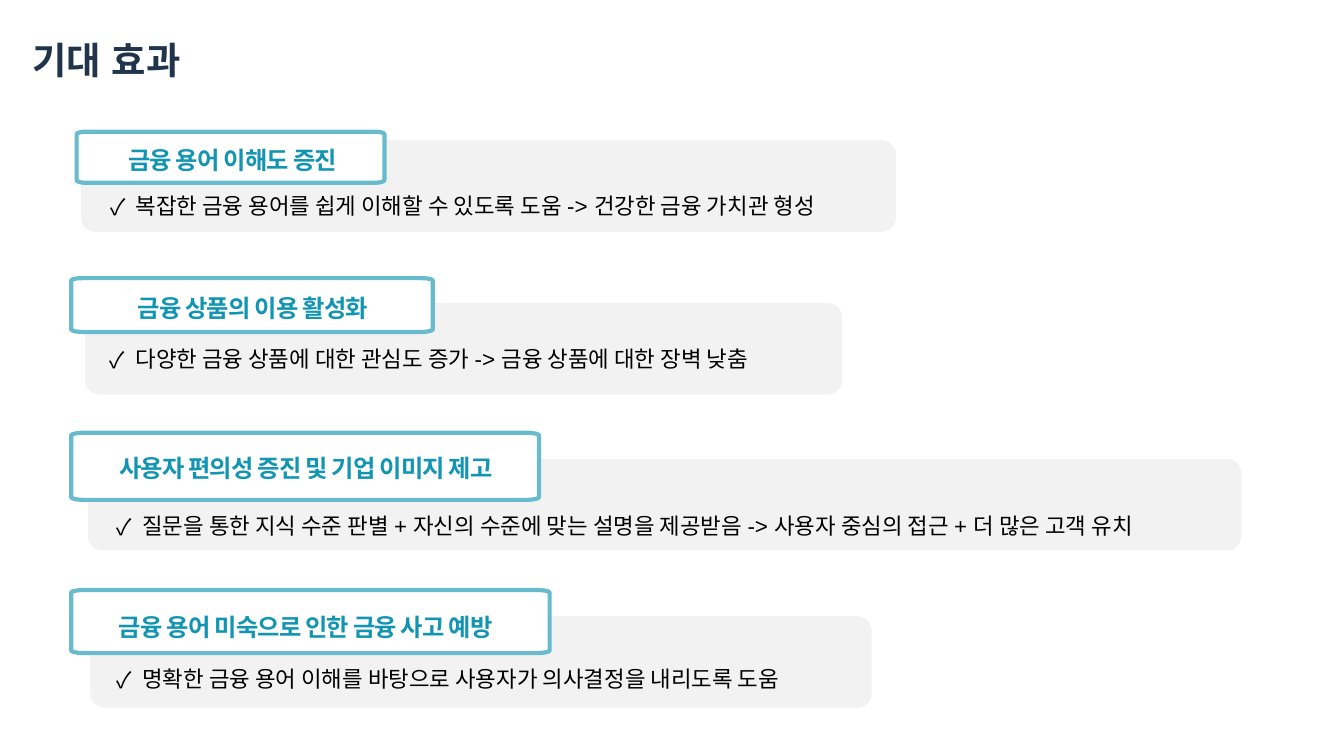
from math import cos, pi, sin

from lxml import etree
from pptx import Presentation
from pptx.dml.color import RGBColor
from pptx.enum.shapes import MSO_SHAPE
from pptx.enum.text import MSO_ANCHOR, MSO_AUTO_SIZE, PP_ALIGN
from pptx.oxml.ns import qn
from pptx.util import Inches, Pt

ROUND = MSO_SHAPE.ROUNDED_RECTANGLE
TOP = MSO_ANCHOR.TOP
GROW = MSO_AUTO_SIZE.SHAPE_TO_FIT_TEXT
LEFT, CENTER = PP_ALIGN.LEFT, PP_ALIGN.CENTER
HANGUL = "Noto Sans CJK SC"
STEPS = 6

PANELS = [
    (0.59, 1.03, 6.09),
    (0.62, 2.24, 5.66),
    (0.64, 3.4, 8.61),
    (0.66, 4.57, 5.84),
]
FRAMES = [
    (0.57, 0.98, 2.29, 0.38),
    (0.53, 2.07, 2.69, 0.4),
    (0.53, 3.22, 3.48, 0.5),
    (0.53, 4.39, 3.56, 0.47),
]
LABELS = [
    ("금융 용어 이해도 증진", 0.83, 1.03, 1.8),
    ("금융 상품의 이용 활성화", 0.87, 2.13, 2.02),
    ("사용자 편의성 증진 및 기업 이미지 제고", 0.62, 3.32, 3.31),
    ("금융 용어 미숙으로 인한 금융 사고 예방", 0.66, 4.5, 3.23),
]
NOTES = [
    ("복잡한 금융 용어를 쉽게 이해할 수 있도록 도움 -> 건강한 금융 가치관 형성",
     0.72, 1.38, 6.09),
    ("다양한 금융 상품에 대한 관심도 증가 -> 금융 상품에 대한 장벽 낮춤",
     0.72, 2.52, 5.44),
    ("질문을 통한 지식 수준 판별 + 자신의 수준에 맞는 설명을 제공받음 -> "
     "사용자 중심의 접근 + 더 많은 고객 유치", 0.77, 3.76, 8.59),
    ("명확한 금융 용어 이해를 바탕으로 사용자가 의사결정을 내리도록 도움",
     0.77, 4.9, 5.65),
]


def color(code):
    return RGBColor.from_string(code)


def paint(shape, fill, line, width):
    shape.shadow.inherit = False
    shape.fill.solid()
    shape.fill.fore_color.rgb = color(fill)
    shape.line.color.rgb = color(line)
    shape.line.width = Pt(width)


def style(para, name, size, code, bold=False):
    font = para.font
    font.name = name
    font.size = Pt(size)
    font.bold = bold
    font.color.rgb = color(code)


def clear(frame):
    frame.margin_left = frame.margin_right = 0
    frame.margin_top = frame.margin_bottom = 0


def add_title(slide, text):
    title = slide.shapes.title
    title.left, title.top = Inches(0.24), Inches(0.14)
    title.width, title.height = Inches(3.65), Inches(0.47)
    frame = title.text_frame
    clear(frame)
    frame.auto_size = GROW
    frame.vertical_anchor = TOP
    para = frame.paragraphs[0]
    para.text = text
    para.alignment = LEFT
    para.line_spacing = 1.4
    style(para, "Arial", 20, "20344B", True)
    east = etree.SubElement(para._p.pPr.find(qn("a:defRPr")), qn("a:ea"))
    east.set("typeface", "Arial")


def add_panel(slide, left, top, width):
    panel = slide.shapes.add_shape(
        ROUND, Inches(left), Inches(top), Inches(width), Inches(0.71))
    paint(panel, "F2F2F2", "FFFFFF", 2)


def add_frame(slide, left, top, width, height):
    wide, high = width * 0.03, 0.02
    right, base = left + width - wide, top + height - high
    hubs = [(right, base), (left + wide, base),
            (left + wide, top + high), (right, top + high)]
    points = []
    for turn, (x, y) in enumerate(hubs):
        for step in range(STEPS + 1):
            angle = (turn + step / STEPS) * pi / 2
            points.append((Inches(x + wide * cos(angle)),
                           Inches(y + high * sin(angle))))
    path = slide.shapes.build_freeform(*points[0])
    path.add_line_segments(points[1:], close=True)
    paint(path.convert_to_shape(), "FFFFFF", "68BBCD", 2.25)


def add_text(slide, text, left, top, width, height):
    box = slide.shapes.add_textbox(
        Inches(left), Inches(top), Inches(width), Inches(height))
    frame = box.text_frame
    frame.word_wrap = True
    frame.auto_size = GROW
    para = frame.paragraphs[0]
    para.text = text
    return frame, para


def add_label(slide, text, left, top, width):
    frame, para = add_text(slide, text, left, top, width, 0.25)
    clear(frame)
    para.alignment = CENTER
    para.line_spacing = Pt(19.5)
    style(para, HANGUL, 13, "1195B2", True)
    para._p.pPr.find(qn("a:defRPr")).set("spc", "-40")


def add_note(slide, text, left, top, width):
    para = add_text(slide, text, left, top, width, 0.3)[1]
    props = para._p.get_or_add_pPr()
    indent = Inches(0.19)
    props.set("marL", str(indent))
    props.set("indent", str(-indent))
    tint = etree.SubElement(props, qn("a:buClr"))
    etree.SubElement(tint, qn("a:srgbClr")).set("val", "000000")
    etree.SubElement(props, qn("a:buFont")).set("typeface", HANGUL)
    etree.SubElement(props, qn("a:buChar")).set("char", "✓")
    style(para, "Arial", 12, "000000")


def main():
    deck = Presentation()
    deck.slide_width = Inches(10)
    deck.slide_height = deck.slide_width * 9 // 16
    slide = deck.slides.add_slide(deck.slide_layouts[5])
    add_title(slide, "기대 효과")
    for panel in PANELS:
        add_panel(slide, *panel)
    for frame, label in zip(FRAMES, LABELS):
        add_frame(slide, *frame)
        add_label(slide, *label)
    for note in NOTES:
        add_note(slide, *note)
    deck.save("out.pptx")


if __name__ == "__main__":
    main()
